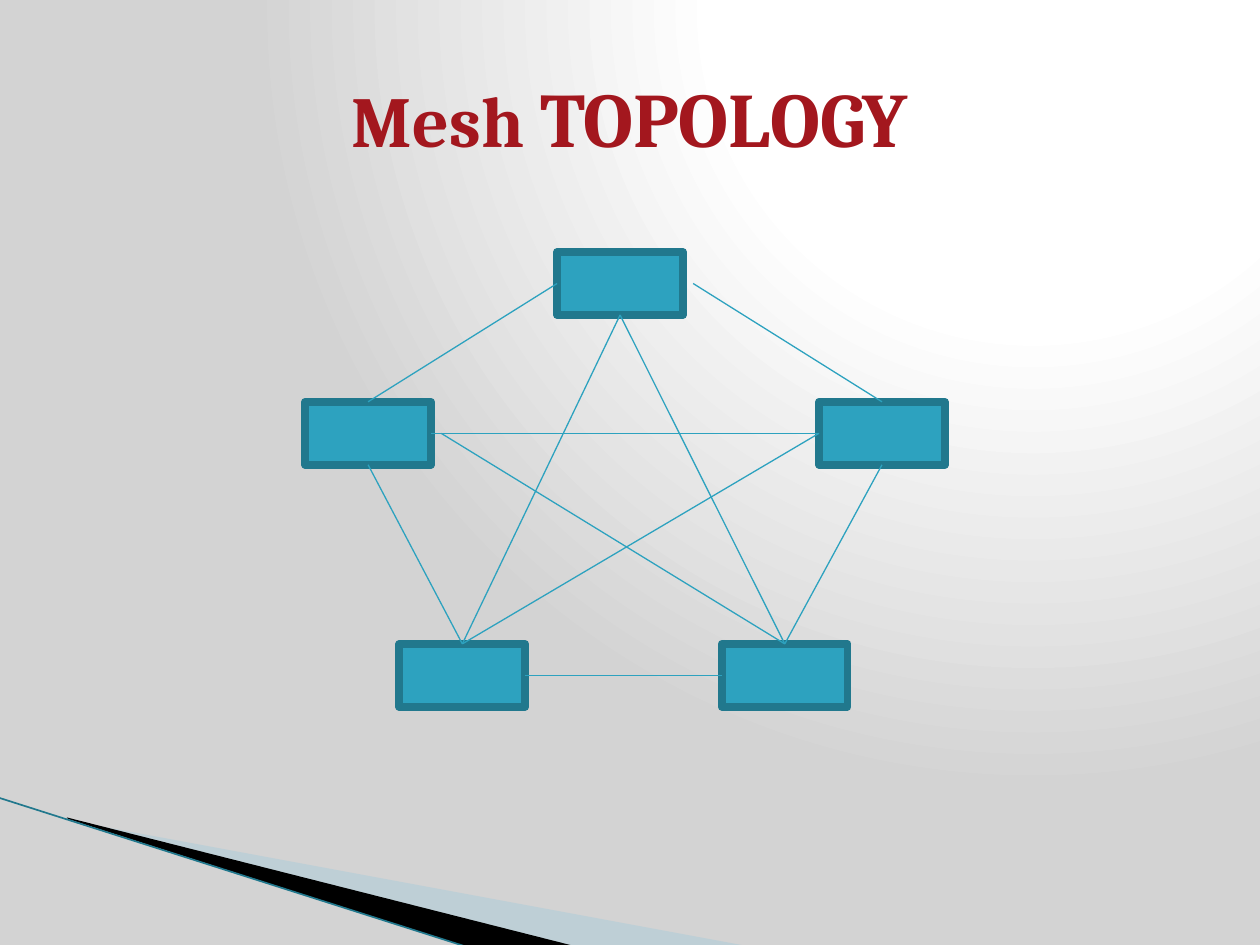
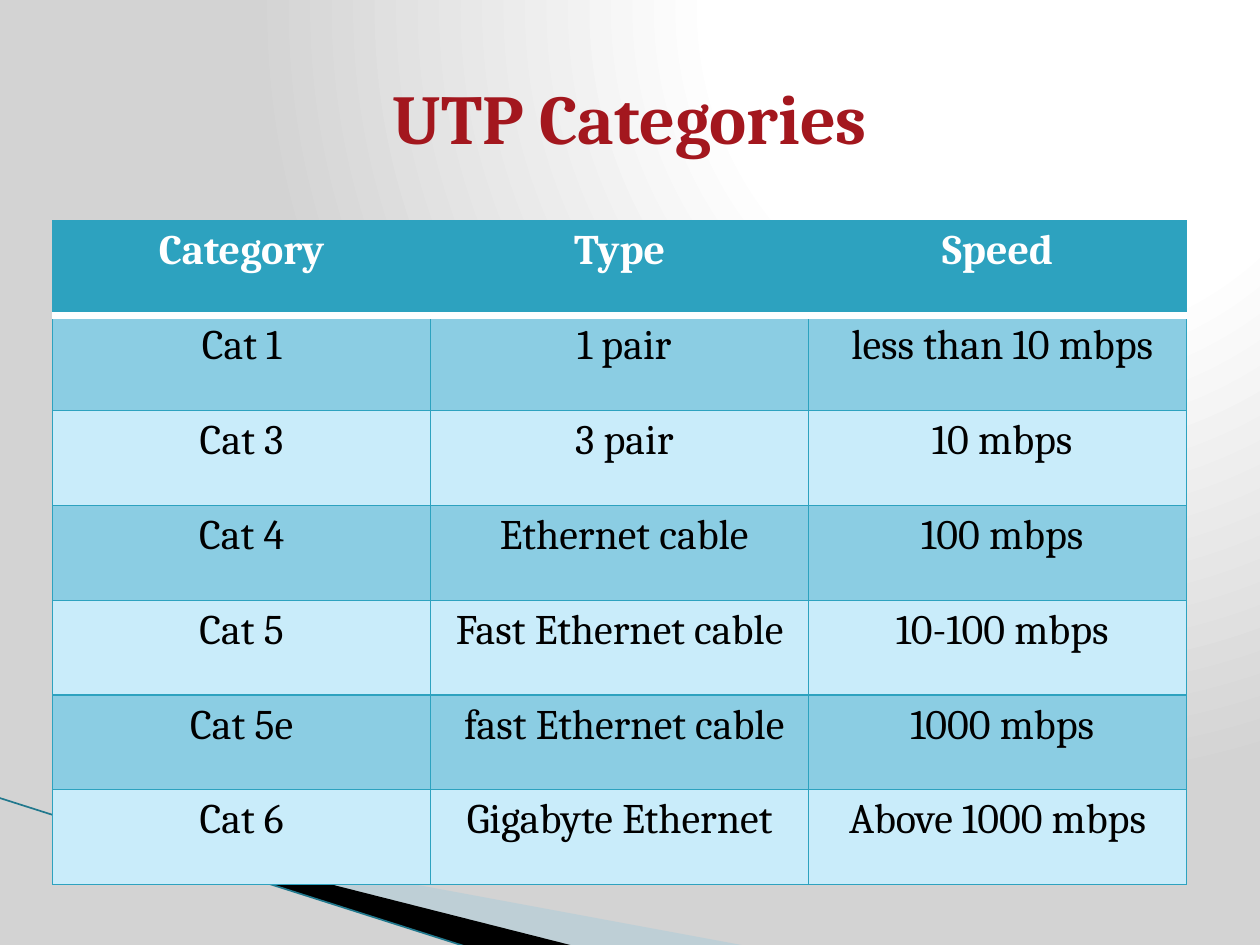
from lxml.etree import SubElement
from pptx import Presentation
from pptx.dml.color import RGBColor
from pptx.enum.shapes import MSO_CONNECTOR, MSO_SHAPE
from pptx.enum.text import MSO_ANCHOR, PP_ALIGN
from pptx.oxml import parse_xml
from pptx.oxml.ns import nsdecls, qn
from pptx.util import Cm, Pt

FONT = "Cambria"
WHITE = RGBColor(0xFF, 0xFF, 0xFF)
BLACK = RGBColor(0x00, 0x00, 0x00)
GRAY = RGBColor(0xD3, 0xD3, 0xD3)
CRIMSON = RGBColor(0xA3, 0x17, 0x1E)
TEAL = RGBColor(0x2D, 0xA2, 0xBF)
DARK_TEAL = RGBColor(0x21, 0x78, 0x8D)
PALE_BLUE = RGBColor(0xA0, 0xCB, 0xDC)
DARK_ROW = RGBColor(0x8B, 0xCD, 0xE3)
LIGHT_ROW = RGBColor(0xC9, 0xEC, 0xFA)

PALE_WEDGE = [(1.4, 16.54), (15.11, 19.08), (11.58, 19.08), (1.4, 16.51)]
BLACK_WEDGE = [(1.35, 16.48), (11.61, 19.08), (9.45, 19.1), (1.37, 16.51)]

NODE_WIDTH, NODE_HEIGHT = 2.54, 1.27
NODES = {
    "top": (11.23, 5.08),
    "right": (16.51, 8.1),
    "left": (6.15, 8.1),
    "lower right": (14.55, 12.98),
    "lower left": (8.05, 12.98),
}
PORTS = {
    "north": (0.5, 0),
    "south": (0.5, 1),
    "west": (0, 0.5),
    "east": (1, 0.5),
    "outer east": (1.08, 0.5),
}
LINKS = [
    ("left", "north", "top", "west"),
    ("left", "south", "lower left", "north"),
    ("right", "south", "lower right", "north"),
    ("lower left", "east", "lower right", "west"),
    ("right", "north", "top", "outer east"),
    ("left", "east", "right", "west"),
    ("top", "south", "lower left", "north"),
    ("top", "south", "lower right", "north"),
    ("left", "outer east", "lower right", "north"),
    ("right", "west", "lower left", "north"),
]

UTP_ROWS = [
    ("Category", "Type", "Speed"),
    ("Cat 1", " 1 pair", " less than 10 mbps"),
    ("Cat 3", " 3 pair", " 10 mbps"),
    ("Cat 4", " Ethernet cable", " 100 mbps"),
    ("Cat 5", "Fast Ethernet cable", " 10-100 mbps"),
    ("Cat 5e", " fast Ethernet cable", " 1000 mbps"),
    ("Cat 6", "Gigabyte Ethernet", "Above 1000 mbps"),
]


def set_background(page):
    page.background.fill.gradient()
    old = page.background.element.find(".//" + qn("a:gradFill"))
    stops = "".join(
        f'<a:gs pos="{place * 1000}"><a:srgbClr val="{color}"/></a:gs>'
        for place, color in [(0, WHITE), (40, WHITE), (100, GRAY)]
    )
    old.getparent().replace(old, parse_xml(
        f'<a:gradFill {nsdecls("a")} rotWithShape="1"><a:gsLst>{stops}</a:gsLst>'
        '<a:path path="circle"><a:fillToRect l="65000" b="98000"/></a:path>'
        '</a:gradFill>'
    ))


def add_wedge(page, points, color, opacity=100):
    corners = [(Cm(x), Cm(y)) for x, y in points]
    builder = page.shapes.build_freeform(*corners[0])
    builder.add_line_segments(corners[1:], close=True)
    wedge = builder.convert_to_shape()
    wedge.shadow.inherit = False
    wedge.line.fill.background()
    wedge.fill.solid()
    wedge.fill.fore_color.rgb = color
    if opacity < 100:
        tint = wedge.element.spPr.find(".//" + qn("a:srgbClr"))
        SubElement(tint, qn("a:alpha"), val=str(opacity * 1000))


def add_line(page, start, end, color, width):
    line = page.shapes.add_connector(
        MSO_CONNECTOR.STRAIGHT, *(Cm(value) for value in (*start, *end)))
    line.line.color.rgb = color
    line.line.width = Pt(width)
    SubElement(line.element.spPr, qn("a:effectLst"))


def add_page(deck, title_runs):
    page = deck.slides.add_slide(deck.slide_layouts.get_by_name("Title Only"))
    set_background(page)
    add_wedge(page, PALE_WEDGE, PALE_BLUE, 40)
    add_wedge(page, BLACK_WEDGE, BLACK)
    add_line(page, (-0.03, 16.08), (9.45, 19.1), DARK_TEAL, 0.95)
    title = page.shapes.title
    title.left, title.top = Cm(1.27), Cm(0.76)
    title.width, title.height = Cm(22.86), Cm(3.18)
    title.text_frame.vertical_anchor = MSO_ANCHOR.MIDDLE
    para = title.text_frame.paragraphs[0]
    para.alignment = PP_ALIGN.CENTER
    para.font.name = FONT
    para.font.bold = True
    para.font.color.rgb = CRIMSON
    for text, size in title_runs:
        span = para.add_run()
        span.text = text
        span.font.size = Pt(size)
    return page


def add_node(page, left, top):
    box = page.shapes.add_shape(
        MSO_SHAPE.RECTANGLE, Cm(left), Cm(top), Cm(NODE_WIDTH), Cm(NODE_HEIGHT))
    box.shadow.inherit = False
    box.fill.solid()
    box.fill.fore_color.rgb = TEAL
    box.line.color.rgb = DARK_TEAL
    box.line.width = Pt(4.33)


def port(node, side):
    left, top = NODES[node]
    across, down = PORTS[side]
    return left + across * NODE_WIDTH, top + down * NODE_HEIGHT


def set_borders(cell, borders):
    properties = cell._tc.get_or_add_tcPr()
    for index, (side, (color, width)) in enumerate(borders.items()):
        properties.insert(index, parse_xml(
            f'<a:ln{side} {nsdecls("a")} w="{Pt(width)}"><a:solidFill>'
            f'<a:srgbClr val="{color}"/></a:solidFill></a:ln{side}>'
        ))


def format_cell(cell, text, row):
    cell.text = text
    cell.fill.solid()
    cell.fill.fore_color.rgb = TEAL if row == 0 else DARK_ROW if row % 2 else LIGHT_ROW
    para = cell.text_frame.paragraphs[0]
    para.alignment = PP_ALIGN.CENTER
    para.font.name = FONT
    para.font.size = Pt(24)
    para.font.bold = row == 0
    para.font.color.rgb = WHITE if row == 0 else BLACK
    borders = {side: (TEAL, 0.75) for side in "LRTB"}
    if row == 0:
        borders["B"] = (WHITE, 4.33)
    elif row == 1:
        borders["T"] = (WHITE, 4.33)
    set_borders(cell, borders)


def add_grid(page, rows):
    table = page.shapes.add_table(
        len(rows), len(rows[0]), Cm(1.06), Cm(4.45), Cm(22.86), Cm(13.39)).table
    for row, texts in enumerate(rows):
        for column, text in enumerate(texts):
            format_cell(table.cell(row, column), text, row)


def main():
    deck = Presentation()
    deck.slide_width, deck.slide_height = Cm(25.4), Cm(19.05)

    mesh = add_page(deck, [("Mesh ", 41), ("TOPOLOGY", 44)])
    for left, top in NODES.values():
        add_node(mesh, left, top)
    for start, start_side, end, end_side in LINKS:
        add_line(mesh, port(start, start_side), port(end, end_side), TEAL, 0.75)

    categories = add_page(deck, [("UTP Categories", 40)])
    add_grid(categories, UTP_ROWS)

    deck.save("out.pptx")


main()
